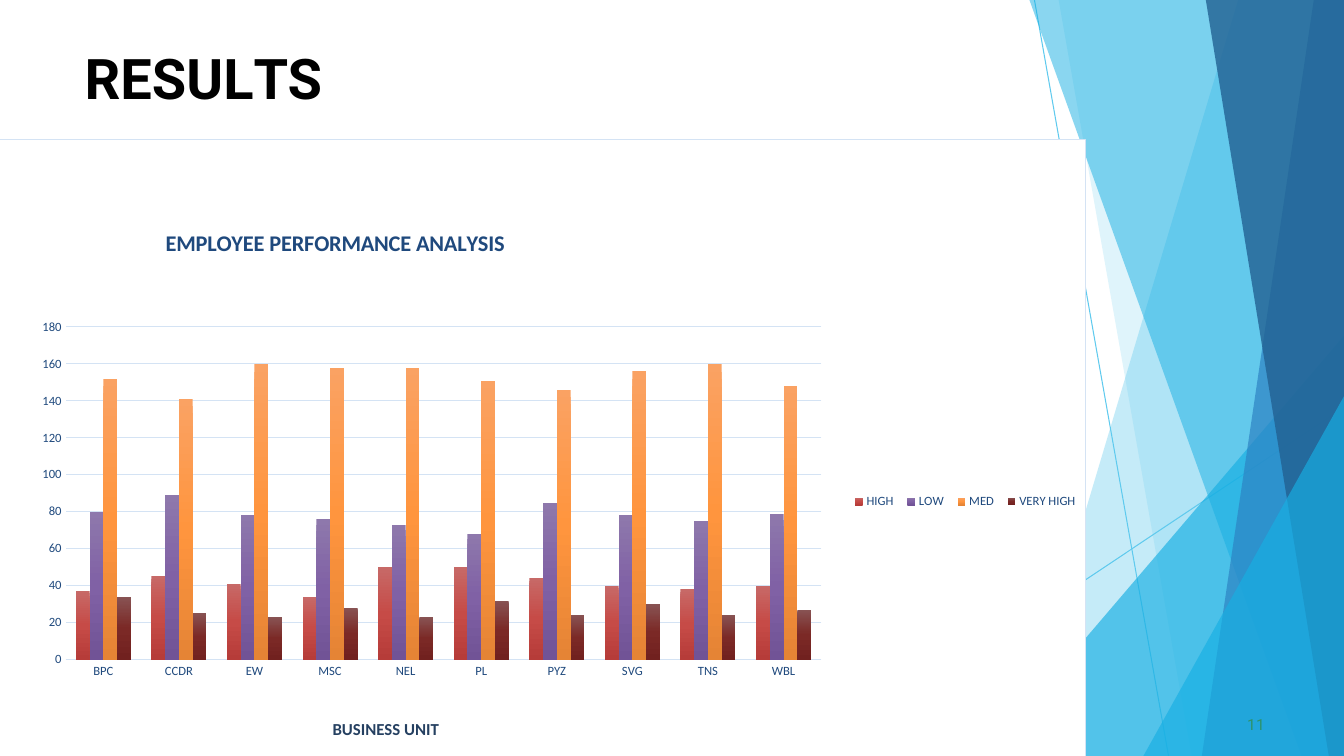
from pptx import Presentation
from pptx.chart.data import CategoryChartData
from pptx.dml.color import RGBColor as RGB
from pptx.enum.chart import XL_CHART_TYPE as ChartType, XL_LEGEND_POSITION as LegendPos
from pptx.enum.chart import XL_TICK_MARK as TickMark
from pptx.enum.shapes import MSO_CONNECTOR as Connector
from pptx.enum.text import MSO_ANCHOR as Anchor, PP_ALIGN as Align
from pptx.oxml import parse_xml
from pptx.oxml.ns import nsdecls, qn
from pptx.util import Inches, Pt

W, H = 13.33, 7.5
COLORS = {
    "sky": "5FCAEE", "cyan": "17AFE3", "blue": "2D83C3", "deep": "226192",
    "black": "000000", "white": "FFFFFF", "number": "2D936B",
    "navy": "1F497D", "axis_title": "254061", "grid": "D4E3F4",
}


def style(font, size, color, face, bold=False):
    font.size, font.name, font.bold = Pt(size), face, bold
    font.color.rgb = RGB.from_string(COLORS[color])


def place(owner, after, inner=False, **shares):
    """Give a chart part a fixed place, in shares of the chart's size."""
    for old in owner.findall(qn("c:layout")):
        owner.remove(old)
    target = '<c:layoutTarget val="inner"/>' if inner else ""
    modes = "".join(f'<c:{k}Mode val="edge"/>' for k in "xy")
    sizes = "".join(f'<c:{k} val="{v}"/>' for k, v in shares.items())
    layout = parse_xml(f'<c:layout {nsdecls("c")}><c:manualLayout>{target}{modes}{sizes}'
                       '</c:manualLayout></c:layout>')
    if after:
        owner.find(qn(after)).addnext(layout)
    else:
        owner.insert(0, layout)


prs = Presentation()
prs.slide_width, prs.slide_height = Inches(W), Inches(H)
slide = prs.slides.add_slide(prs.slide_layouts[5])
shapes = slide.shapes

# Thin lines behind the facets
for x1, y1, x2 in [(10.26, 0, 11.59), (W, 4.04, 8.15)]:
    ray = shapes.add_connector(Connector.STRAIGHT, Inches(x1), Inches(y1), Inches(x2), Inches(H))
    ray.line.color.rgb = RGB.from_string(COLORS["sky"])
    ray.line.width = Pt(0.75)
    ray._element.spPr.append(parse_xml(f'<a:effectLst {nsdecls("a")}/>'))

# Facets hang on the right edge: top left x, top y, bottom left x, colour, opacity
facets = [
    (12.28, 0, 10.04, "sky", 36), (10.5, 0, 11.82, "sky", 20),
    (W, 3.33, 9.77, "cyan", 66), (10.21, 0, 12.91, "cyan", 50),
    (13.03, 0, 11.92, "blue", 70), (11.96, 0, 13.18, "deep", 80),
    (W, 3.93, 11.34, "cyan", 66),
]
for top_left, top, bottom_left, color, opacity in facets:
    corners = [(top_left, top), (bottom_left, H), (W, H)]
    outline = shapes.build_freeform(Inches(W), Inches(top))
    outline.add_line_segments([(Inches(x), Inches(y)) for x, y in corners])
    facet = outline.convert_to_shape()
    facet.shadow.inherit = False
    facet.line.fill.background()
    facet.fill.solid()
    facet.fill.fore_color.rgb = RGB.from_string(COLORS[color])
    tint = facet._element.spPr.find(".//" + qn("a:srgbClr"))
    tint.append(parse_xml(f'<a:alpha {nsdecls("a")} val="{opacity * 1000}"/>'))

# Heading and page number
heading = shapes.title
heading.left, heading.top, heading.width, heading.height = map(Inches, (0.83, 0.42, 2.67, 0.67))
page_number = shapes.add_textbox(Inches(12.33), Inches(7.08), Inches(0.25), Inches(0.21))
letters = [("R", 0), ("E", -0.4), ("S", 0.1), ("U", -0.3), ("L", -4), ("TS", 0)]
for box, pieces, indent, size, color, bold in [
    (heading, letters, 0.01, 40, "black", True),
    (page_number, [("11", 0.1)], 0.04, 11, "number", False),
]:
    frame = box.text_frame
    frame.margin_left, frame.margin_top = Inches(indent), Inches(0.01)
    frame.margin_right = frame.margin_bottom = 0
    frame.vertical_anchor = Anchor.TOP
    frame.word_wrap = True
    line = frame.paragraphs[0]
    line.alignment = Align.LEFT
    line.space_before = Pt(1)
    for text, spacing in pieces:
        run = line.add_run()
        run.text = text
        style(run.font, size, color, "Roboto", bold)
        run._r.get_or_add_rPr().set("spc", str(round(spacing * 100)))

# Performance counts per business unit, with gradient from top to bottom
ratings = [
    ("HIGH", (37, 45, 41, 34, 50, 50, 44, 40, 38, 40), ("C76967", "C64B47", "B63C39")),
    ("LOW", (80, 89, 78, 76, 73, 68, 85, 78, 75, 79), ("8E78AC", "8061A5", "715396")),
    ("MED", (152, 141, 160, 158, 158, 151, 146, 156, 160, 148), ("FAA263", "FF953E", "E58435")),
    ("VERY HIGH", (34, 25, 23, 28, 23, 32, 24, 30, 24, 27), ("885353", "7B2926", "71211F")),
]
data = CategoryChartData()
data.categories = ["BPC", "CCDR", "EW", "MSC", "NEL", "PL", "PYZ", "SVG", "TNS", "WBL"]
for name, counts, _ in ratings:
    data.add_series(name, counts)
chart = shapes.add_chart(ChartType.COLUMN_CLUSTERED, Inches(-1.14), Inches(1.38),
                         Inches(11.91), Inches(6.42), data).chart
style(chart.font, 10, "black", "Calibri")
columns = chart.plots[0]
columns.gap_width, columns.overlap, columns.vary_by_categories = 150, 0, False
for series, (_, _, shades) in zip(columns.series, ratings):
    stops = "".join(f'<a:gs pos="{i * 50000}"><a:srgbClr val="{shade}"/></a:gs>'
                    for i, shade in enumerate(shades))
    series._element.get_or_add_spPr().append(parse_xml(
        f'<a:gradFill {nsdecls("a")} rotWithShape="1"><a:gsLst>{stops}</a:gsLst>'
        '<a:lin ang="5400000" scaled="0"/></a:gradFill>'))

# Axes
units, counts_axis = chart.category_axis, chart.value_axis
for axis in (units, counts_axis):
    axis.major_tick_mark = axis.minor_tick_mark = TickMark.NONE
    style(axis.tick_labels.font, 9, "navy", "Calibri")
counts_axis.minimum_scale, counts_axis.maximum_scale, counts_axis.major_unit = 0, 180, 20
counts_axis.format.line.fill.background()
for rule in (units.format.line, counts_axis.major_gridlines.format.line):
    rule.color.rgb = RGB.from_string(COLORS["grid"])
    rule.width = Pt(0.75)

# Titles and legend
for owner, text, size, color in [
    (chart.chart_title, "EMPLOYEE PERFORMANCE ANALYSIS", 16, "navy"),
    (units.axis_title, "BUSINESS UNIT", 12, "axis_title"),
]:
    owner.text_frame.text = text
    style(owner.text_frame.paragraphs[0].runs[0].font, size, color, "Calibri", True)
chart.has_legend = True
chart.legend.position = LegendPos.RIGHT
chart.legend.include_in_layout = False
style(chart.legend.font, 9, "navy", "Calibri")

# Places inside the chart, and its white panel
space = chart._chartSpace
place(space.xpath("c:chart/c:title")[0], "c:tx", x=0.23, y=0.13)
place(space.xpath(".//c:catAx/c:title")[0], "c:tx", x=0.37, y=0.89)
place(space.xpath(".//c:legend")[0], "c:legendPos", x=0.8, y=0.54, w=0.2, h=0.04)
place(space.xpath(".//c:plotArea")[0], None, inner=True, x=0.15, y=0.29, w=0.63, h=0.515)
space.find(qn("c:chart")).addnext(parse_xml(
    f'<c:spPr {nsdecls("c", "a")}><a:solidFill><a:srgbClr val="{COLORS["white"]}"/></a:solidFill>'
    f'<a:ln w="{Pt(0.75)}"><a:solidFill><a:srgbClr val="{COLORS["grid"]}"/></a:solidFill></a:ln>'
    '</c:spPr>'))

prs.save("out.pptx")
